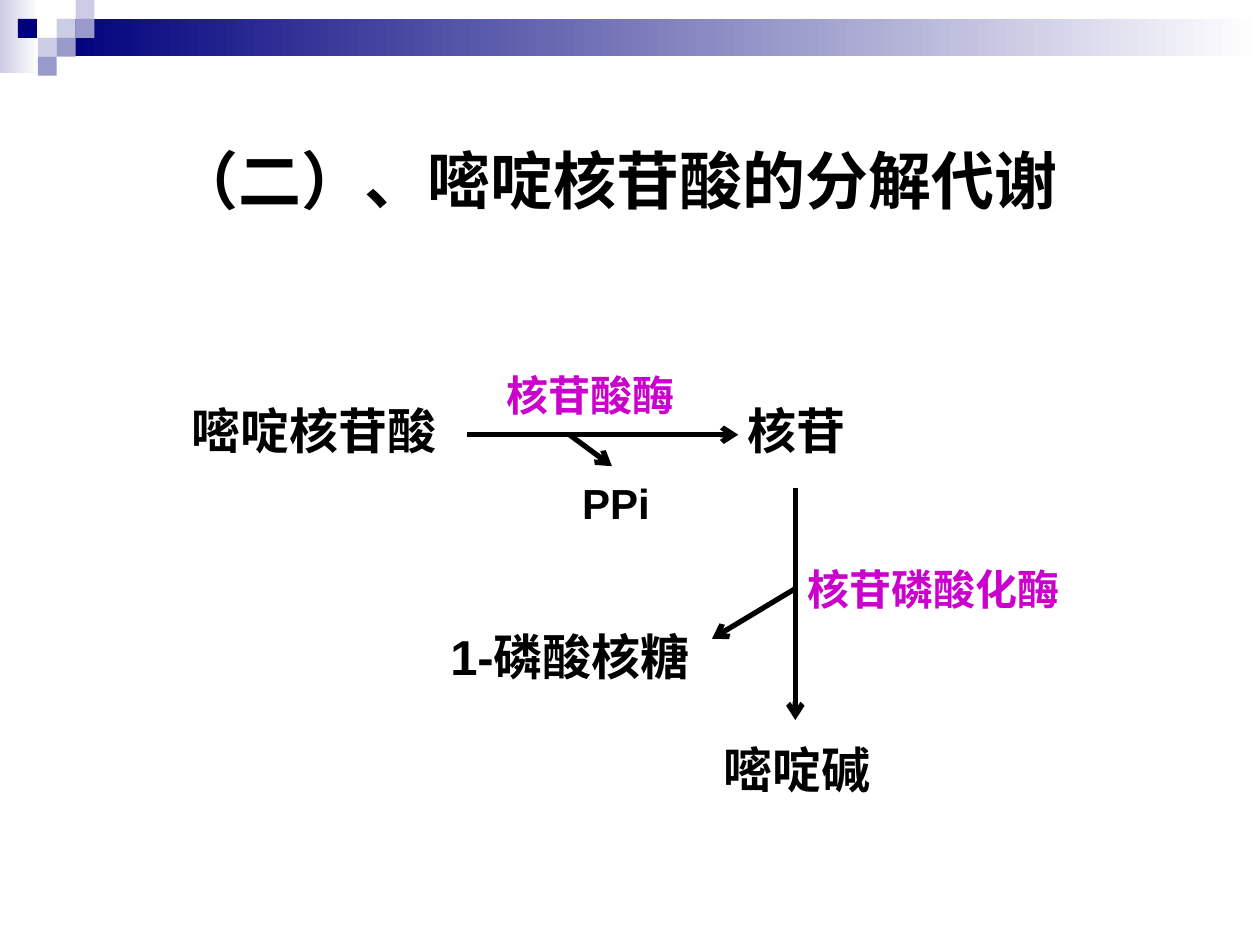
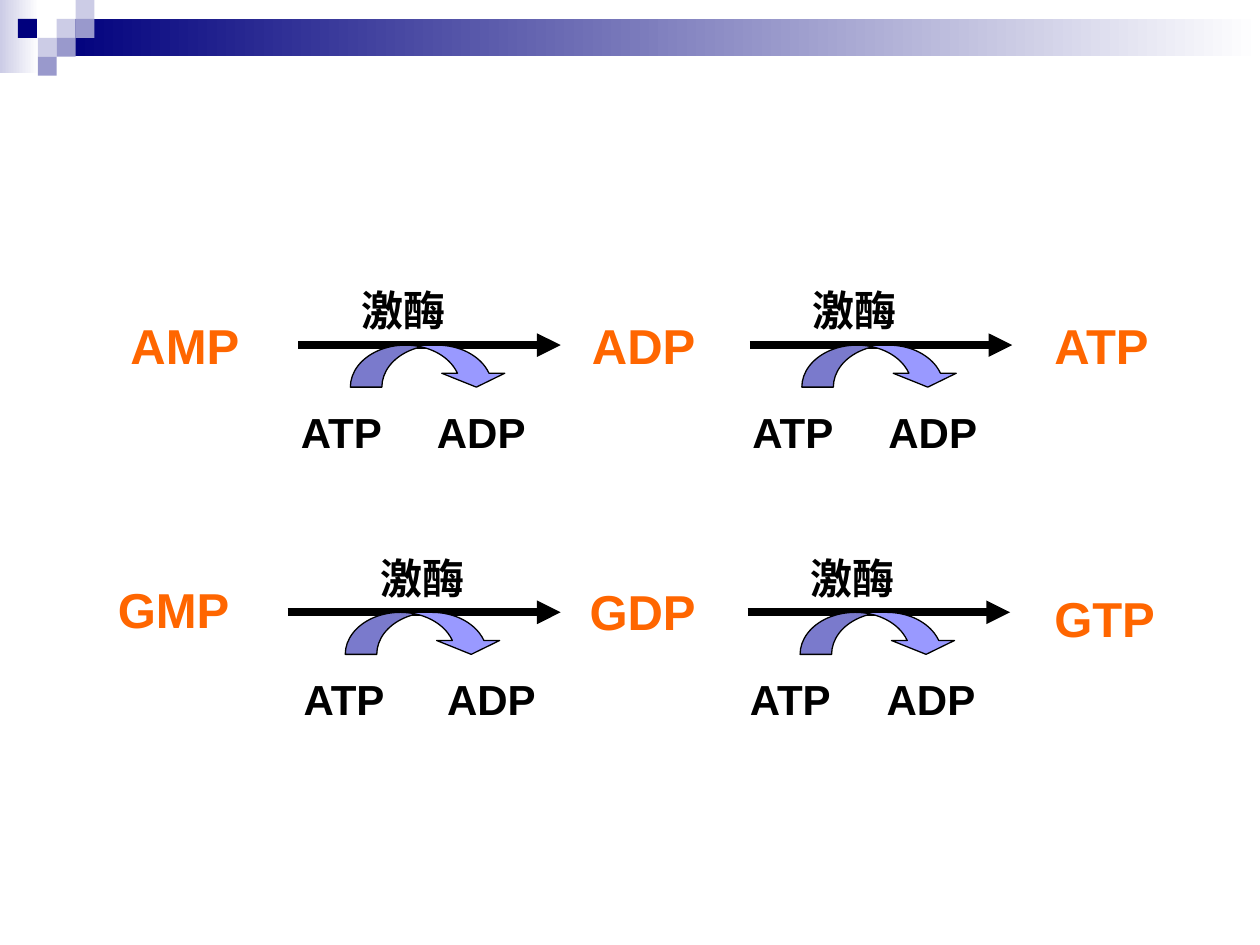
"""Build two slides on the breakdown and activation of nucleotides."""
from lxml.etree import SubElement
from pptx import Presentation
from pptx.dml.color import RGBColor
from pptx.enum.shapes import MSO_CONNECTOR, MSO_SHAPE
from pptx.enum.text import MSO_ANCHOR, MSO_AUTO_SIZE, PP_ALIGN
from pptx.oxml.ns import qn
from pptx.util import Pt

FONT = "Arial"
HUES = {"ink": "000000", "navy": "00007D", "mid": "9999CC", "pale": "CCCCE6",
        "white": "FFFFFF", "enzyme": "CC00CC", "main": "FF6600", "curve": "9999FF"}

CELL = 10.8
BANDS = [((0, 0, 22.3, 41.8), "pale"), ((32.4, CELL, 687.6, 21.2), "navy")]
TILES = [(3, 1, "pale"), (4, 0, "pale"), (4, 1, "mid"), (2, 2, "pale"),
         (0.95, 1, "navy"), (3, 2, "mid"), (2, 3, "mid")]

TITLE = "（二）、嘧啶核苷酸的分解代谢"
TITLE_BOX = (92.9, 77, 578.9, 51.1)
NODES = [("嘧啶碱", 406.4, 419, 157.7), ("1-磷酸核糖", 250.2, 354.6, 171.4),
         ("嘧啶核苷酸", 102.4, 225.4, 179.3), ("核苷", 420, 225.4, 172.8)]
ENZYME_1 = ("核苷酸酶", (260.6, 207.4, 177.8, 36))
ENZYME_2 = ("核苷磷酸化酶", (454.4, 318.4, 180.7, 36))
SIDE = ("PPi", (325.6, 269.6, 54, 36))
ARROWS = [((454.5, 278.6), (454.5, 411.5)), ((267.1, 248.4), (421.9, 248.4)),
          ((325.4, 248.4), (349.7, 266.4))]
SPLIT = ((454.4, 336.4), (406.8, 365))

CHAINS = [
    {"y": 197.2,
     "names": [("AMP", 67.5, 176.6, 77.5), ("ADP", 331.2, 176.6, 74.5),
               ("ATP", 595.4, 176.6, 71)],
     "steps": [{"start": 170.5, "end": 320.4, "curve": 200.2, "atp": 164.9,
                "adp": 242.6, "kinase": 199.4},
               {"start": 428.5, "end": 578.4, "curve": 458.2, "atp": 422.9,
                "adp": 500.6, "kinase": 457.4}]},
    {"y": 349.9,
     "names": [("GMP", 60.2, 327.6, 79), ("GDP", 329.8, 329, 76),
               ("GTP", 595.4, 332.6, 73)],
     "steps": [{"start": 164.4, "end": 320.4, "curve": 197.3, "atp": 166.4,
                "adp": 248.4, "kinase": 210.2},
               {"start": 427.2, "end": 577.2, "curve": 457.2, "atp": 421.4,
                "adp": 499.6, "kinase": 456}]},
]
PARTS = [("adp", "ADP", 31.4, 66), ("atp", "ATP", 31.4, 63),
         ("kinase", "激酶", -37.9, 63)]


def hue(name):
    return RGBColor.from_string(HUES[name])


def pts(nums):
    return [Pt(num) for num in nums]


def write(frame, text, size=28, color="ink", wrap=True, left=7.2,
          fit=MSO_AUTO_SIZE.SHAPE_TO_FIT_TEXT, anchor=MSO_ANCHOR.TOP):
    frame.word_wrap, frame.auto_size = wrap, fit
    frame.vertical_anchor, frame.margin_left = anchor, Pt(left)
    frame.text = text
    para = frame.paragraphs[0]
    para.alignment = PP_ALIGN.LEFT
    font = para.runs[0].font
    font.name, font.size, font.bold = FONT, Pt(size), True
    font.color.rgb = hue(color)


def label(slide, text, box, **style):
    shape = slide.shapes.add_textbox(*pts(box))
    write(shape.text_frame, text, **style)
    return shape


def block(slide, kind, box, color, fade=False):
    shape = slide.shapes.add_shape(kind, *pts(box))
    shape.shadow.inherit = False
    shape.line.fill.background()
    if fade:
        shape.fill.gradient()
        shape.fill.gradient_angle = 0
        for stop, name in zip(shape.fill.gradient_stops, (color, "white")):
            stop.color.rgb = hue(name)
    else:
        shape.fill.solid()
        shape.fill.fore_color.rgb = hue(color)
    return shape


def arrow(slide, start, end, width=3, head="arrow"):
    link = slide.shapes.add_connector(MSO_CONNECTOR.STRAIGHT, *pts(start + end))
    link.line.color.rgb = hue("ink")
    link.line.width = Pt(width)
    props = link.element.spPr
    SubElement(props.find(qn("a:ln")), qn("a:tailEnd"), type=head)
    SubElement(props, qn("a:effectLst"))
    return link


def dress(deck, slide):
    parts = [block(slide, MSO_SHAPE.RECTANGLE, box, color, fade=True)
             for box, color in BANDS]
    parts += [block(slide, MSO_SHAPE.RECTANGLE,
                    (col * CELL, row * CELL, CELL, CELL), color)
              for col, row, color in TILES]
    for part in parts:
        deck.slide_master.shapes.element.append(part.element)


def decay(slide):
    title = slide.shapes.title
    title.left, title.top, title.width, title.height = pts(TITLE_BOX)
    write(title.text_frame, TITLE, size=36, fit=MSO_AUTO_SIZE.NONE,
          anchor=MSO_ANCHOR.MIDDLE)
    for text, x, y, width in NODES:
        label(slide, text, (x, y, width, 41))
    label(slide, *ENZYME_1, size=24, color="enzyme", left=29)
    label(slide, *SIDE, size=24, wrap=False)
    enzyme = label(slide, *ENZYME_2, size=24, color="enzyme")
    for start, end in ARROWS:
        arrow(slide, start, end)
    arrow(slide, *SPLIT).begin_connect(enzyme, 1)


def chain(slide, y, names, steps):
    for text, x, top, width in names:
        label(slide, text, (x, top, width, 41), color="main", wrap=False)
    for step in steps:
        arrow(slide, (step["start"], y), (step["end"], y), 4.5, "triangle")
        curve = block(slide, MSO_SHAPE.CURVED_DOWN_ARROW,
                      (step["curve"], y, 90, 24), "curve")
        curve.line.color.rgb = hue("ink")
        curve.line.width = Pt(0.75)
        for spot, ratio in enumerate((0.75, 1.5, 0.33)):
            curve.adjustments[spot] = ratio
        for key, text, shift, width in PARTS:
            label(slide, text, (step[key], y + shift, width, 36), size=24, wrap=False)


def main():
    deck = Presentation()
    deck.slide_width, deck.slide_height = Pt(720), Pt(540)
    first = deck.slides.add_slide(deck.slide_layouts[5])
    dress(deck, first)
    decay(first)
    second = deck.slides.add_slide(deck.slide_layouts[6])
    for row in CHAINS:
        chain(second, **row)
    deck.save("out.pptx")


if __name__ == "__main__":
    main()
